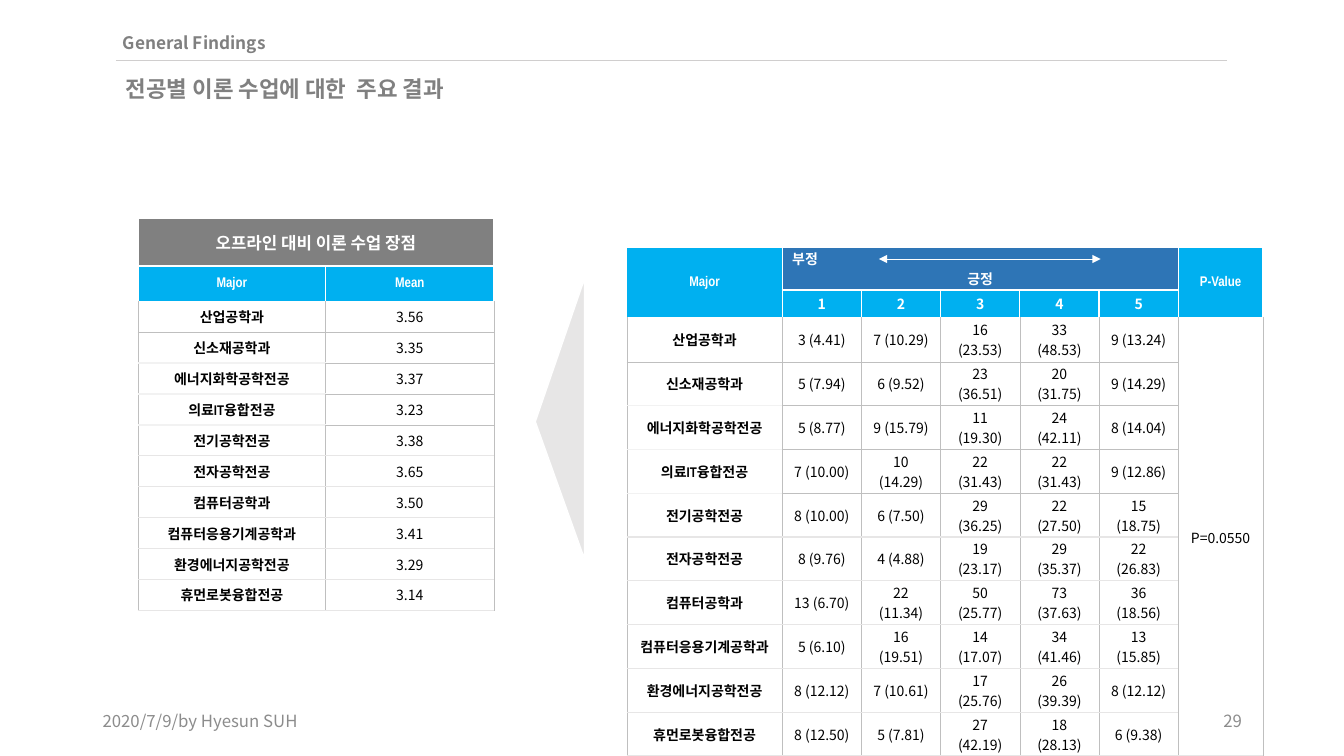
from lxml import etree
from pptx import Presentation
from pptx.dml.color import RGBColor
from pptx.enum import shapes, text
from pptx.oxml import ns
from pptx.util import Pt

SANS, SLIM = "Noto Sans CJK KR", "Arial Narrow"
BLUE, GRAY, WHITE = "00B0F0", "808080", "FFFFFF"
THIN, PALE, SOFT, BOLD = ("BFBFBF", 0.25), ("F2F2F2", 1), ("E7E6E6", 1), (WHITE, 1)
LEFT, MID, RIGHT = text.PP_ALIGN.LEFT, text.PP_ALIGN.CENTER, text.PP_ALIGN.RIGHT
rgb = RGBColor.from_string


def style(frame, size, font, color, bold=False, align=LEFT):
    for para in frame.paragraphs:
        para.alignment = align
        for run in para.runs:
            run.font.size, run.font.name, run.font.bold = Pt(size), font, bold
            run.font.color.rgb = rgb(color)
            east = etree.SubElement(run.font._element, ns.qn("a:ea"))
            east.set("typeface", SANS)


def border(cell, edges):
    """Draw the left, right, top and bottom edges, each a (color, width) pair."""
    props = cell._tc.get_or_add_tcPr()
    for i, (side, (color, width)) in enumerate(zip("LRTB", edges)):
        line = etree.Element(ns.qn("a:ln" + side), w=str(Pt(width)))
        fill = etree.SubElement(line, ns.qn("a:solidFill"))
        etree.SubElement(fill, ns.qn("a:srgbClr"), val=color)
        props.insert(i, line)


majors = ["산업공학과", "신소재공학과", "에너지화학공학전공", "의료IT융합전공", "전기공학전공",
          "전자공학전공", "컴퓨터공학과", "컴퓨터응용기계공학과", "환경에너지공학전공", "휴먼로봇융합전공"]
means = ["3.56", "3.35", "3.37", "3.23", "3.38", "3.65", "3.50", "3.41", "3.29", "3.14"]
counts = [
    ["3 (4.41)", "7 (10.29)", "16 (23.53)", "33 (48.53)", "9 (13.24)"],
    ["5 (7.94)", "6 (9.52)", "23 (36.51)", "20 (31.75)", "9 (14.29)"],
    ["5 (8.77)", "9 (15.79)", "11 (19.30)", "24 (42.11)", "8 (14.04)"],
    ["7 (10.00)", "10 (14.29)", "22 (31.43)", "22 (31.43)", "9 (12.86)"],
    ["8 (10.00)", "6 (7.50)", "29 (36.25)", "22 (27.50)", "15 (18.75)"],
    ["8 (9.76)", "4 (4.88)", "19 (23.17)", "29 (35.37)", "22 (26.83)"],
    ["13 (6.70)", "22 (11.34)", "50 (25.77)", "73 (37.63)", "36 (18.56)"],
    ["5 (6.10)", "16 (19.51)", "14 (17.07)", "34 (41.46)", "13 (15.85)"],
    ["8 (12.12)", "7 (10.61)", "17 (25.76)", "26 (39.39)", "8 (12.12)"],
    ["8 (12.50)", "5 (7.81)", "27 (42.19)", "18 (28.13)", "6 (9.38)"],
]
score = [["오프라인 대비 이론 수업 장점", ""], ["Major", "Mean"]]
score += [[major, mean] for major, mean in zip(majors, means)]
scale = [["Major", "부정\n긍정", "", "", "", "", "P-Value"], ["", "1", "2", "3", "4", "5", ""]]
scale += [[major, *row, ""] for major, row in zip(majors, counts)]
scale[2][6] = "P=0.0550"

prs = Presentation()
prs.slide_width, prs.slide_height = Pt(960), Pt(540)
slide = prs.slides.add_slide(prs.slide_layouts[6])

wedge = slide.shapes.add_shape(shapes.MSO_SHAPE.ISOSCELES_TRIANGLE,
                               Pt(299.5), Pt(281.5), Pt(201), Pt(35.3))
wedge.rotation = 270
wedge.adjustments[0] = 0.49
wedge.shadow.inherit = False
wedge.fill.solid()
wedge.fill.fore_color.rgb = rgb("E7E6E6")
wedge.line.color.rgb = rgb(WHITE)
wedge.line.width = Pt(1)

# rows, left, top, column widths, row heights, merged ranges
tables = [
    (score, 98.6, 156.2, [134, 120.2], [33.8, 25.2] + [22.1] * 10, [(0, 0, 0, 1)]),
    (scale, 447.8, 176.4, [110.9] + [56.6] * 5 + [60.5], [30.7, 20] + [31.3] * 10,
     [(0, 0, 1, 0), (0, 1, 0, 5), (0, 6, 1, 6), (2, 6, 11, 6)]),
]
for rows, left, top, wides, highs, spans in tables:
    grid = slide.shapes.add_table(len(rows), len(wides), Pt(left), Pt(top),
                                  Pt(sum(wides)), Pt(sum(highs))).table
    grid.first_row = grid.horz_banding = False
    for col, wide in zip(grid.columns, wides):
        col.width = Pt(wide)
    for row, high in zip(grid.rows, highs):
        row.height = Pt(high)
    for r1, c1, r2, c2 in spans:
        grid.cell(r1, c1).merge(grid.cell(r2, c2))
    for r, row in enumerate(rows):
        for c, word in enumerate(row):
            cell = grid.cell(r, c)
            cell.margin_top = cell.margin_bottom = Pt(0.9)
            cell.vertical_anchor = text.MSO_ANCHOR.MIDDLE
            cell.text_frame.text = word
            head = r < 2
            slim = c == 0 or head and not word.isdigit()
            big = rows is score and r == 0
            style(cell.text_frame, 12 if big else 10, SLIM if slim else SANS,
                  WHITE if head else "000000", head or c == 0, MID)
            if head:
                cell.fill.solid()
                band = "2E75B6" if "부정" in word else BLUE
                cell.fill.fore_color.rgb = rgb(GRAY if big else band)
            else:
                cell.fill.background()
            if cell.is_spanned:
                continue
            rules = [BOLD, THIN] + [PALE if c == 0 else THIN] * 3 + [SOFT] * 6
            last = r + cell.span_height - 1 if cell.is_merge_origin else r
            border(cell, [BOLD] * 4 if head else [THIN, THIN, rules[r - 2], rules[last - 1]])
grid.cell(0, 1).text_frame.paragraphs[0].alignment = LEFT

# x1, x2, y, color
for x1, x2, y, color in [(82.8, 876.2, 43.2, "D0CECE"), (627.8, 786.2, 185, WHITE)]:
    line = slide.shapes.add_connector(shapes.MSO_CONNECTOR.STRAIGHT, Pt(x1), Pt(y), Pt(x2), Pt(y))
    line.line.color.rgb = rgb(color)
    line.line.width = Pt(0.5)
    etree.SubElement(line._element.spPr, ns.qn("a:effectLst"))
for end in ("a:headEnd", "a:tailEnd"):
    etree.SubElement(line.line._get_or_add_ln(), ns.qn(end), type="triangle")

# words, left, top, width, height, side inset, top inset, size, font, color, bold, align, anchor
TOP, CENTER = text.MSO_ANCHOR.TOP, text.MSO_ANCHOR.MIDDLE
notes = [
    ("General Findings", 82.8, 20.9, 482.4, 20.2, 5, 2.2, 12.3, SANS, GRAY, True, LEFT, TOP),
    ("전공별 이론 수업에 대한  주요 결과", 82.8, 50.4, 543.6, 26.6, 7.2, 3.6, 16, SLIM, GRAY, True, LEFT, TOP),
    ("2020/7/9/by Hyesun SUH", 66.2, 500.4, 216, 28.8, 7.2, 3.6, 12, SANS, "8C8C8C", False, LEFT, CENTER),
    ("29", 678.2, 500.4, 216, 28.8, 7.2, 3.6, 12, SANS, "8C8C8C", False, RIGHT, CENTER),
]
for words, left, top, wide, high, side, inset, *look, anchor in notes:
    frame = slide.shapes.add_textbox(Pt(left), Pt(top), Pt(wide), Pt(high)).text_frame
    frame.word_wrap = True
    frame.margin_left = frame.margin_right = Pt(side)
    frame.margin_top = frame.margin_bottom = Pt(inset)
    frame.vertical_anchor = anchor
    frame.text = words
    style(frame, *look)

prs.save("out.pptx")
